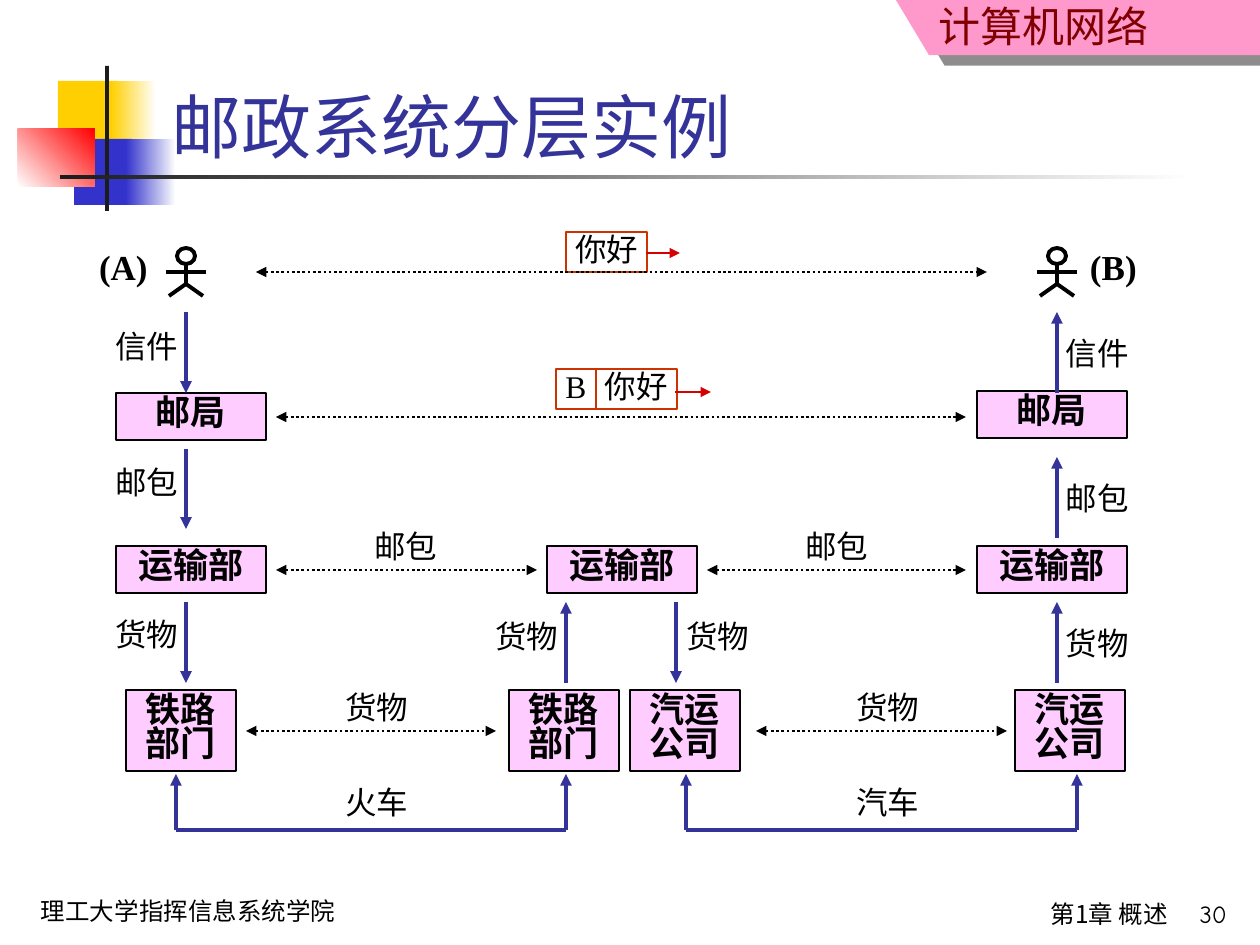
"""Build a slide on the layers of the postal system."""
import pptx
import pptx.util
import pptx.dml.color
import pptx.enum.dml
import pptx.enum.shapes
import pptx.enum.text
import pptx.oxml
import pptx.oxml.ns
from lxml import etree

PX = 914400 // 126
qn = pptx.oxml.ns.qn
KIND = pptx.enum.shapes.MSO_SHAPE
ALIGN = pptx.enum.text.PP_ALIGN
ANCHOR = pptx.enum.text.MSO_ANCHOR


def paint(fill, *hues, angle=0):
    if len(hues) == 1:
        fill.solid()
        fill.fore_color.rgb = pptx.dml.color.RGBColor.from_string(hues[0])
        return
    fill.gradient()
    fill.gradient_angle = angle
    for stop, hue in zip(fill.gradient_stops, hues):
        stop.color.rgb = pptx.dml.color.RGBColor.from_string(hue)


def write(shape, text, size=18, font="Times New Roman", hue="000000", bold=False,
          align=ALIGN.CENTER, anchor=ANCHOR.TOP, space=0, lead=None, pad=(13, 6)):
    frame = shape.text_frame
    frame.word_wrap = True
    frame.auto_size = pptx.enum.text.MSO_AUTO_SIZE.NONE
    frame.vertical_anchor = anchor
    frame.margin_left = frame.margin_right = pad[0] * PX
    frame.margin_top = frame.margin_bottom = pad[1] * PX
    para = frame.paragraphs[0]
    para.alignment = align
    para.space_before = pptx.util.Pt(space)
    if lead:
        para.line_spacing = lead
    run = para.add_run()
    run.text = text
    run.font.size = pptx.util.Pt(size)
    run.font.name = font
    run.font.bold = bold
    paint(run.font.fill, hue)
    etree.SubElement(run._r.get_or_add_rPr(), qn("a:ea"), typeface="Noto Sans CJK SC")


deck = pptx.Presentation()
deck.slide_width = pptx.util.Inches(10)
deck.slide_height = pptx.util.Inches(7.5)
slide = deck.slides.add_slide(deck.slide_layouts[5])
shapes = slide.shapes

for spot, hues, angle in [
    ((58, 81, 60, 66), ["FFCF01"], 0),
    ((111, 81, 45, 66), ["FFCF01", "FFFFFF"], 0),
    ((74, 139, 58, 66), ["3333CC"], 0),
    ((126, 139, 50, 66), ["3333CC", "FFFFFF"], 0),
    ((18, 129, 77, 58), ["FFFFFF", "FF0000"], 45),
    ((105, 66, 4, 145), ["1C1C1C"], 0),
    ((60, 175, 1134, 4), ["1C1C1C", "FFFFFF"], 0),
]:
    block = shapes.add_shape(KIND.RECTANGLE, *[n * PX for n in spot])
    block.shadow.inherit = False
    block.line.fill.background()
    paint(block.fill, *hues, angle=angle)

pen = shapes.build_freeform(896, 0, scale=PX)
pen.add_line_segments([(929, 55), (1260, 55), (1260, 0)], close=True)
flag = pen.convert_to_shape()
flag.shadow.inherit = False
flag.line.fill.background()
paint(flag.fill, "FF99CC")
flag._element.spPr.find(qn("a:effectLst")).append(pptx.oxml.parse_xml(
    f'<a:outerShdw {pptx.oxml.ns.nsdecls("a")} dist="137160" dir="2040000" algn="ctr" rotWithShape="0">'
    '<a:srgbClr val="1C1C1C"><a:alpha val="50000"/></a:srgbClr></a:outerShdw>'))

title = shapes.title
title.left, title.top, title.width, title.height = [n * PX for n in (159, 29, 1074, 145)]
write(title, "邮政系统分层实例", size=40, font="Arial", hue="333399",
      align=ALIGN.LEFT, anchor=ANCHOR.BOTTOM)

plain = dict(size=14, font="Noto Sans CJK SC", align=ALIGN.RIGHT)
name = dict(size=20, bold=True, space=12.5, lead=0.8)
label = dict(space=11.2, lead=0.8, pad=(5, 5))
texts = [
    ("理工大学指挥信息系统学院", (28, 890, 392, 43),
     dict(size=14, font="Comic Neue", align=ALIGN.LEFT, space=8.8)),
    ("计算机网络", (717, 0, 445, 57),
     dict(plain, size=24, hue="800000", space=15, pad=(13, 0))),
    ("第1章 概述", (541, 893, 640, 52), plain),
    ("30", (1140, 893, 100, 48), dict(plain, font="Comic Neue")),
    ("(A)", (86, 248, 81, 47), dict(name, align=ALIGN.LEFT)),
    ("(B)", (1077, 248, 81, 47), dict(name, align=ALIGN.LEFT)),
]
for text, left, top in [
    ("信件", 106, 329), ("邮包", 106, 465), ("货物", 106, 617),
    ("信件", 1057, 336), ("邮包", 1057, 481), ("货物", 1057, 626),
    ("邮包", 365, 529), ("邮包", 796, 529),
    ("货物", 336, 690), ("货物", 847, 690),
    ("火车", 336, 785), ("汽车", 847, 785),
    ("货物", 486, 619), ("货物", 677, 619),
]:
    texts.append((text, (left, top, 81, 40), label))
for text, spot, form in texts:
    write(shapes.add_textbox(*[n * PX for n in spot]), text, **form)

pink = ("FFCCFF", "000000", 1, name)
clear = (None, "CC3300", 1.5, label)
for text, spot, (fill, edge, width, form) in [
    ("邮局", (116, 393, 150, 47), pink),
    ("邮局", (977, 391, 150, 47), pink),
    ("运输部", (116, 546, 150, 47), pink),
    ("运输部", (547, 546, 150, 47), pink),
    ("运输部", (977, 546, 150, 47), pink),
    ("铁路部门", (126, 690, 110, 81), pink),
    ("铁路部门", (509, 690, 110, 81), pink),
    ("汽运公司", (630, 690, 110, 81), pink),
    ("汽运公司", (1015, 690, 110, 81), pink),
    ("你好", (566, 232, 81, 40), clear),
    ("B", (556, 369, 40, 40), clear),
    ("你好", (596, 369, 81, 40), clear),
]:
    box = shapes.add_shape(KIND.RECTANGLE, *[n * PX for n in spot])
    box.shadow.inherit = False
    if fill:
        paint(box.fill, fill)
    else:
        box.fill.background()
    paint(box.line.fill, edge)
    box.line.width = pptx.util.Pt(width)
    write(box, text, **form)

body = ("000000", 2.25, False, [])
dots = ("000000", 1.5, True, ["headEnd", "tailEnd"])
flow = ("333399", 2.25, False, ["tailEnd"])
base = ("333399", 2.25, False, [])
send = ("D60000", 1.5, False, ["tailEnd"])
lines = []
for mid in (186, 1057):
    head = shapes.add_shape(KIND.OVAL, *[n * PX for n in (mid - 9, 248, 18, 16)])
    head.shadow.inherit = False
    head.fill.background()
    paint(head.line.fill, "000000")
    head.line.width = pptx.util.Pt(2.25)
    lines += [((mid - 20, 272, mid + 20, 272), body), ((mid, 263, mid, 284), body),
              ((mid, 284, mid - 17, 296), body), ((mid, 284, mid + 17, 296), body)]
for left, right, y in [(256, 987, 272), (276, 966, 417), (276, 537, 570),
                       (707, 966, 570), (246, 496, 731), (756, 1007, 731)]:
    lines.append(((left, y, right, y), dots))
for x, start, end in [(186, 312, 393), (186, 449, 529), (186, 602, 683), (676, 602, 683),
                      (566, 683, 602), (1057, 683, 602), (1057, 538, 457), (1057, 393, 312)]:
    lines.append(((x, start, x, end), flow))
for left, right in [(176, 566), (686, 1077)]:
    lines.append(((left, 830, right, 830), base))
    lines += [((x, 830, x, 774), flow) for x in (left, right)]
lines += [((646, 253, 680, 253), send), ((675, 392, 711, 392), send)]

for ends, (hue, width, dotted, tips) in lines:
    link = shapes.add_connector(pptx.enum.shapes.MSO_CONNECTOR.STRAIGHT, *[n * PX for n in ends])
    paint(link.line.fill, hue)
    link.line.width = pptx.util.Pt(width)
    if dotted:
        link.line.dash_style = pptx.enum.dml.MSO_LINE.ROUND_DOT
    for tip in tips:
        etree.SubElement(link.line._get_or_add_ln(), qn("a:" + tip), type="triangle")
    etree.SubElement(link._element.spPr, qn("a:effectLst"))

deck.save("out.pptx")
